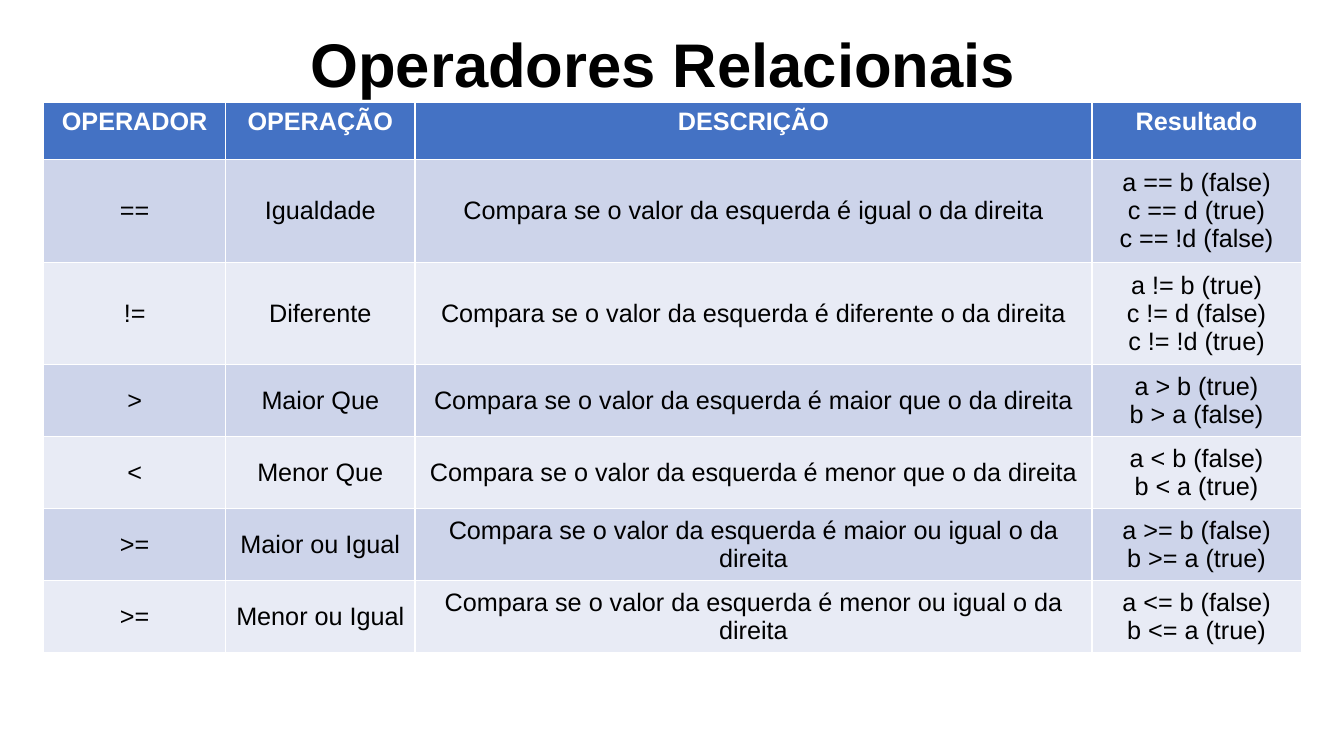
from pptx import Presentation
from pptx.dml.color import RGBColor
from pptx.enum import text
from pptx.util import Pt

COLORS = {"header": "4472C4", "odd": "CDD4EA", "even": "E8EBF5",
          "white": "FFFFFF", "black": "000000"}
ROWS = [
    ("OPERADOR", "OPERAÇÃO", "DESCRIÇÃO", "Resultado"),
    ("==", "Igualdade", "Compara se o valor da esquerda é igual o da direita",
     "a == b (false)\nc == d (true)\nc == !d (false)"),
    ("!=", "Diferente", "Compara se o valor da esquerda é diferente o da direita",
     "a != b (true)\nc != d (false)\nc != !d (true)"),
    (">", "Maior Que", "Compara se o valor da esquerda é maior que o da direita",
     "a > b (true)\nb > a (false)"),
    ("<", "Menor Que", "Compara se o valor da esquerda é menor que o da direita",
     "a < b (false)\nb < a (true)"),
    (">=", "Maior ou Igual", "Compara se o valor da esquerda é maior ou igual o da direita",
     "a >= b (false)\nb >= a (true)"),
    (">=", "Menor ou Igual", "Compara se o valor da esquerda é menor ou igual o da direita",
     "a <= b (false)\nb <= a (true)"),
]
WIDTHS = [130, 135.2, 483.6, 149.4]
HEIGHTS = [40.5] + [73.4] * 2 + [51.4] * 4


def format_text(tf, size, color, bold):
    for p in tf.paragraphs:
        p.alignment = text.PP_ALIGN.CENTER
        for r in p.runs:
            r.font.name = "Arial"
            r.font.size = Pt(size)
            r.font.bold = bold
            r.font.color.rgb = RGBColor.from_string(COLORS[color])


prs = Presentation()
prs.slide_width, prs.slide_height = Pt(960), Pt(540)
s = prs.slides.add_slide(prs.slide_layouts[5])

title = s.shapes.title
title.left, title.top, title.width, title.height = Pt(66), Pt(-3.6), Pt(828), Pt(104.4)
tf = title.text_frame
tf.text = "Operadores Relacionais "
tf.vertical_anchor = text.MSO_ANCHOR.MIDDLE
tf.paragraphs[0].line_spacing = 0.9
format_text(tf, 44, "black", True)

table = s.shapes.add_table(len(ROWS), len(WIDTHS), Pt(31.2), Pt(73.4),
                           Pt(sum(WIDTHS)), Pt(sum(HEIGHTS))).table
for column, width in zip(table.columns, WIDTHS):
    column.width = Pt(width)

for i, (values, height) in enumerate(zip(ROWS, HEIGHTS)):
    table.rows[i].height = Pt(height)
    header = i == 0
    fill = "header" if header else "odd" if i % 2 else "even"
    for j, value in enumerate(values):
        cell = table.cell(i, j)
        cell.fill.solid()
        cell.fill.fore_color.rgb = RGBColor.from_string(COLORS[fill])
        cell.vertical_anchor = text.MSO_ANCHOR.TOP if header else text.MSO_ANCHOR.MIDDLE
        cell.text_frame.text = value
        format_text(cell.text_frame, 18, "white" if header else "black", header)

prs.save("out.pptx")
